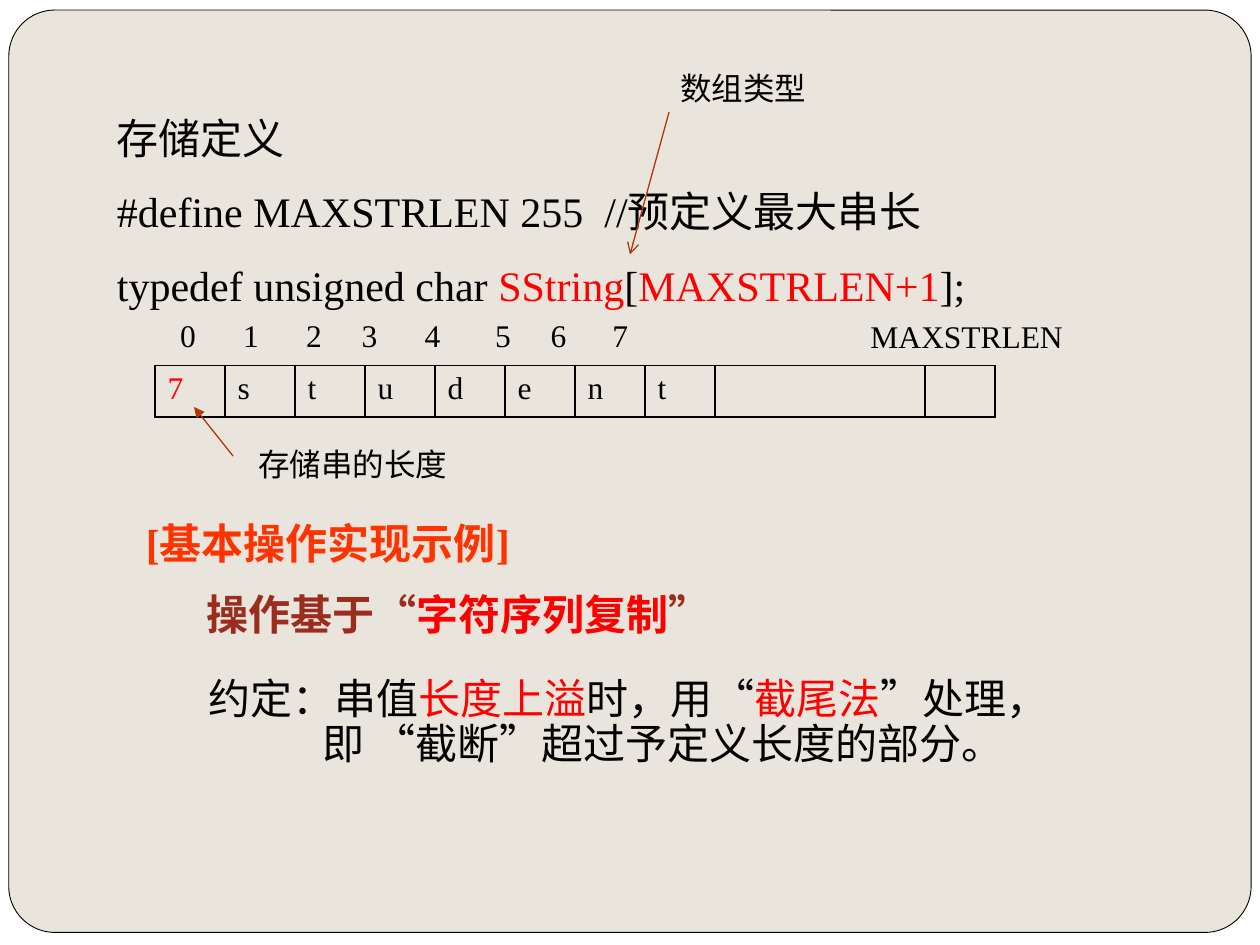
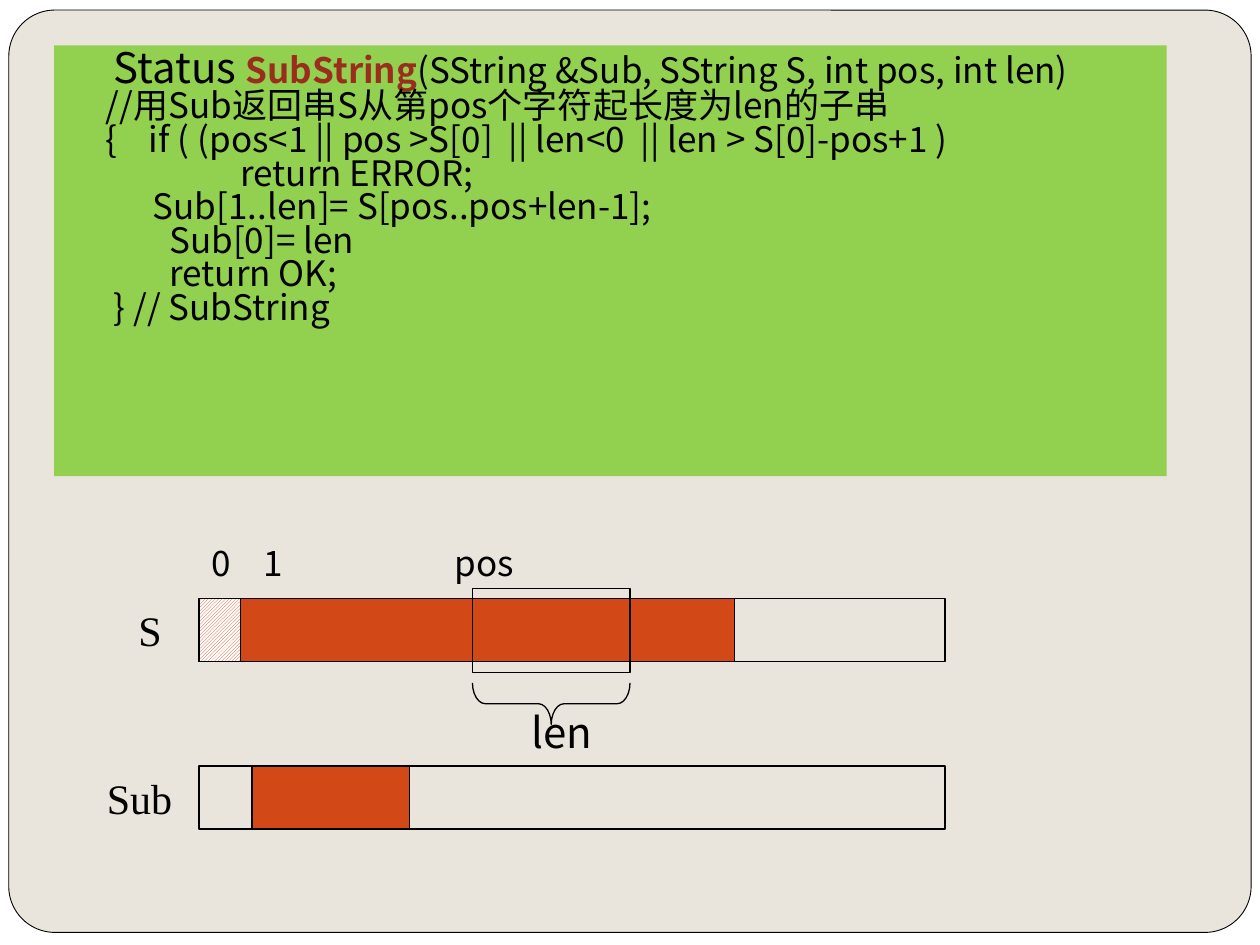
"""Two slides on fixed-length string storage and its SubString operation."""
from lxml import etree
from pptx import Presentation
from pptx.dml.color import RGBColor
from pptx.enum.dml import MSO_PATTERN
from pptx.enum.shapes import MSO_CONNECTOR, MSO_SHAPE
from pptx.enum.text import MSO_ANCHOR, PP_ALIGN
from pptx.oxml.ns import qn
from pptx.util import Inches, Pt

RECT, ROUNDED, BRACE = MSO_SHAPE.RECTANGLE, MSO_SHAPE.ROUNDED_RECTANGLE, MSO_SHAPE.LEFT_BRACE
STRAIGHT = MSO_CONNECTOR.STRAIGHT
HATCH = MSO_PATTERN.LIGHT_UPWARD_DIAGONAL
TOP, LEFT = MSO_ANCHOR.TOP, PP_ALIGN.LEFT

WHITE = RGBColor(0xFF, 0xFF, 0xFF)
BLACK = RGBColor(0, 0, 0)
PAPER = RGBColor(0xE9, 0xE5, 0xDC)
RED = RGBColor(0xFF, 0, 0)
VERMILION = RGBColor(0xFF, 0x33, 0)
BRICK = RGBColor(0x9B, 0x2D, 0x1F)
RUST = RGBColor(0xB1, 0x36, 0x0B)
ORANGE = RGBColor(0xD3, 0x48, 0x17)
GREEN = RGBColor(0x92, 0xD0, 0x50)
SERIF, SANS = "Times New Roman", "Noto Sans CJK SC"

DEFINITION = [
    ["存储定义"],
    ["#define MAXSTRLEN 255  //预定义最大串长"],
    ["typedef unsigned char ", ("SString", RED), "[", ("MAXSTRLEN+1", RED), "];"],
]
HEADING = [[("[基本操作实现示例]", VERMILION, True)]]
BASIS = [[("操作基于“", BRICK, True), ("字符序列复制", RED, True), ("”", BRICK, True)]]
CONVENTION = [
    ["约定：串值", ("长度上溢", RED), "时，用“", ("截尾法", RED), "”处理，"],
    ["即 “截断”超过予定义长度的部分。"],
]
CONVENTION_MARGINS = [0.5, 1.4]
CELLS = ["7", "s", "t", "u", "d", "e", "n", "t", "", ""]
CELL_SPANS = [1] * 8 + [3, 1]
INDEX_TABS = [0.5, 1, 1.44, 1.94, 2.5, 2.94, 3.43]
NOTES = [
    ("MAXSTRLEN", 6.81, 2.47, 1.9),
    ("存储串的长度", 1.95, 3.48, 1.9),
    ("数组类型", 5.3, 0.5, 1.4),
]
ARROWS = [
    ((1.85, 3.62), (1.54, 3.23), "triangle"),
    ((5.31, 0.89), (5, 2.02), "arrow"),
]

CODE = [
    [("     Status ", BLACK, False, 24), ("SubString", BRICK, True),
     "(SString &Sub, SString S, int pos, int len)"],
    ["     //用Sub返回串S从第pos个字符起长度为len的子串"],
    ["     {    if ( (pos<1 || pos >S[0]  || len<0  || len > S[0]-pos+1 )"],
    ["\t\t\treturn ERROR;"],
    ["           Sub[1..len]= S[pos..pos+len-1];"],
    ["\t       Sub[0]= len"],
    ["\t       return OK;"],
    ["      } // SubString"],
]
BAR_X, BAR_W, BAR_H = 1.58, 5.92, 0.5
S_Y, SUB_Y = 4.75, 6.08
POS_X, LEN_W = 3.75, 1.25
BRACE_W, BRACE_Y = 0.33, 5.42
BARS = [
    (BAR_X, S_Y, BAR_W, BAR_H, None),
    (BAR_X, S_Y, 4.25, BAR_H, ORANGE),
    (POS_X, S_Y - 0.08, LEN_W, BAR_H + 0.17, None),
    (BAR_X, SUB_Y, BAR_W, BAR_H, None),
    (2, SUB_Y, LEN_W, BAR_H, ORANGE),
]
BAR_LABELS = [
    ("len", 4.12, 5.56, 0.95, SANS),
    ("S", 1, S_Y, 0.75, SERIF),
    ("Sub", 0.75, SUB_Y, 1.17, SERIF),
]


def write(sp, paragraphs, size, font=SERIF, spacing=None):
    tf = sp.text_frame
    tf.word_wrap = True
    tf.vertical_anchor = TOP
    for i, runs in enumerate(paragraphs):
        p = tf.add_paragraph() if i else tf.paragraphs[0]
        p.alignment = LEFT
        if spacing:
            p.line_spacing = spacing
        for item in runs:
            text, *style = (item,) if isinstance(item, str) else item
            color, bold, run_size = style + [BLACK, False, size][len(style):]
            r = p.add_run()
            r.text = text
            r.font.name = font
            r.font.size = Pt(run_size)
            r.font.bold = bold
            r.font.color.rgb = color
            etree.SubElement(r._r.get_or_add_rPr(), qn("a:ea"), typeface=SANS)
    return tf


def add_text(s, x, y, w, h, paragraphs, size, font=SERIF, spacing=None):
    sp = s.shapes.add_textbox(Inches(x), Inches(y), Inches(w), Inches(h))
    return write(sp, paragraphs, size, font, spacing)


def set_margin(p, left, first=0):
    pPr = p._p.get_or_add_pPr()
    pPr.set("marL", str(Inches(left)))
    pPr.set("indent", str(Inches(first)))


def set_tabs(p, stops):
    tabs = etree.SubElement(p._p.get_or_add_pPr(), qn("a:tabLst"))
    for stop in stops:
        etree.SubElement(tabs, qn("a:tab"), pos=str(Inches(stop)), algn="l")


def add_box(s, kind, x, y, w, h, fill=None, line=0.75):
    sp = s.shapes.add_shape(kind, Inches(x), Inches(y), Inches(w), Inches(h))
    sp.shadow.inherit = False
    if fill is None:
        sp.fill.background()
    else:
        sp.fill.solid()
        sp.fill.fore_color.rgb = fill
    if line:
        sp.line.color.rgb = BLACK
        sp.line.width = Pt(line)
    else:
        sp.line.fill.background()
    return sp


def add_arrow(s, start, end, head):
    line = s.shapes.add_connector(STRAIGHT, *(Inches(v) for v in start + end))
    line.line.color.rgb = RUST
    line.line.width = Pt(0.75)
    etree.SubElement(line.line._get_or_add_ln(), qn("a:tailEnd"), type=head)
    etree.SubElement(line._element.spPr, qn("a:effectLst"))


def add_border(cell):
    tcPr = cell._tc.get_or_add_tcPr()
    for side in ("lnL", "lnR", "lnT", "lnB"):
        ln = etree.SubElement(tcPr, qn("a:" + side), w=str(Pt(1)))
        fill = etree.SubElement(ln, qn("a:solidFill"))
        etree.SubElement(fill, qn("a:srgbClr"), val=str(BLACK))


def add_cells(s):
    unit = 6.67 / sum(CELL_SPANS)
    table = s.shapes.add_table(1, len(CELLS), Inches(1.23), Inches(2.9),
                               Inches(6.67), Inches(0.41)).table
    table.first_row = table.horz_banding = False
    for i, (text, span) in enumerate(zip(CELLS, CELL_SPANS)):
        table.columns[i].width = Inches(unit * span)
        cell = table.cell(0, i)
        add_border(cell)
        cell.fill.background()
        if text:
            write(cell, [[(text, BLACK if i else RED)]], 18)


def new_slide(prs):
    s = prs.slides.add_slide(prs.slide_layouts[6])
    s.background.fill.solid()
    s.background.fill.fore_color.rgb = WHITE
    frame = add_box(s, ROUNDED, 0.07, 0.08, 9.86, 7.32, PAPER, 0.5)
    frame.adjustments[0] = 0.05
    return s


def build_storage(prs):
    s = new_slide(prs)
    add_text(s, 1.06, 4.06, 3.5, 0.5, HEADING, 24)
    tf = add_text(s, 1.06, 5.33, 7.67, 0.9, CONVENTION, 24, spacing=0.9)
    for p, margin in zip(tf.paragraphs, CONVENTION_MARGINS):
        set_margin(p, margin)
    add_text(s, 1.54, 4.62, 4.57, 0.5, BASIS, 24)
    add_text(s, 0.83, 0.66, 7.47, 1.84, DEFINITION, 24, spacing=Pt(42))
    add_cells(s)
    indexes = "\t".join(str(i) for i in range(8))
    tf = add_text(s, 1.2, 2.46, 4.41, 0.4, [[indexes]], 18)
    tf.margin_left = Inches(0.23)
    set_tabs(tf.paragraphs[0], INDEX_TABS)
    for text, x, y, w in NOTES:
        add_text(s, x, y, w, 0.4, [[text]], 18)
    for start, end, head in ARROWS:
        add_arrow(s, start, end, head)


def build_substring(prs):
    s = new_slide(prs)
    panel = add_box(s, RECT, 0.43, 0.36, 8.83, 3.42, GREEN, 0)
    for p in write(panel, CODE, 20, SANS, 0.8).paragraphs:
        set_margin(p, 0.38, -0.38)
    for x, y, w, h, fill in BARS:
        add_box(s, RECT, x, y, w, h, fill)
    tf = add_text(s, BAR_X, 4.25, 5.42, 0.44, [["0\t1\tpos"]], 20, SANS)
    set_tabs(tf.paragraphs[0], [0.41, 1.93])
    length_cell = add_box(s, RECT, BAR_X, S_Y, 0.33, BAR_H)
    length_cell.fill.patterned()
    length_cell.fill.pattern = HATCH
    length_cell.fill.fore_color.rgb = ORANGE
    length_cell.fill.back_color.rgb = WHITE
    brace = add_box(s, BRACE, POS_X + (LEN_W - BRACE_W) / 2,
                    BRACE_Y - (LEN_W - BRACE_W) / 2, BRACE_W, LEN_W)
    brace.rotation = 270
    brace.adjustments[0] = 0.31
    for text, x, y, w, font in BAR_LABELS:
        add_text(s, x, y, w, 0.5, [[text]], 24, font)


def main():
    prs = Presentation()
    prs.slide_width, prs.slide_height = Inches(10), Inches(7.5)
    build_storage(prs)
    build_substring(prs)
    prs.save("out.pptx")


if __name__ == "__main__":
    main()
